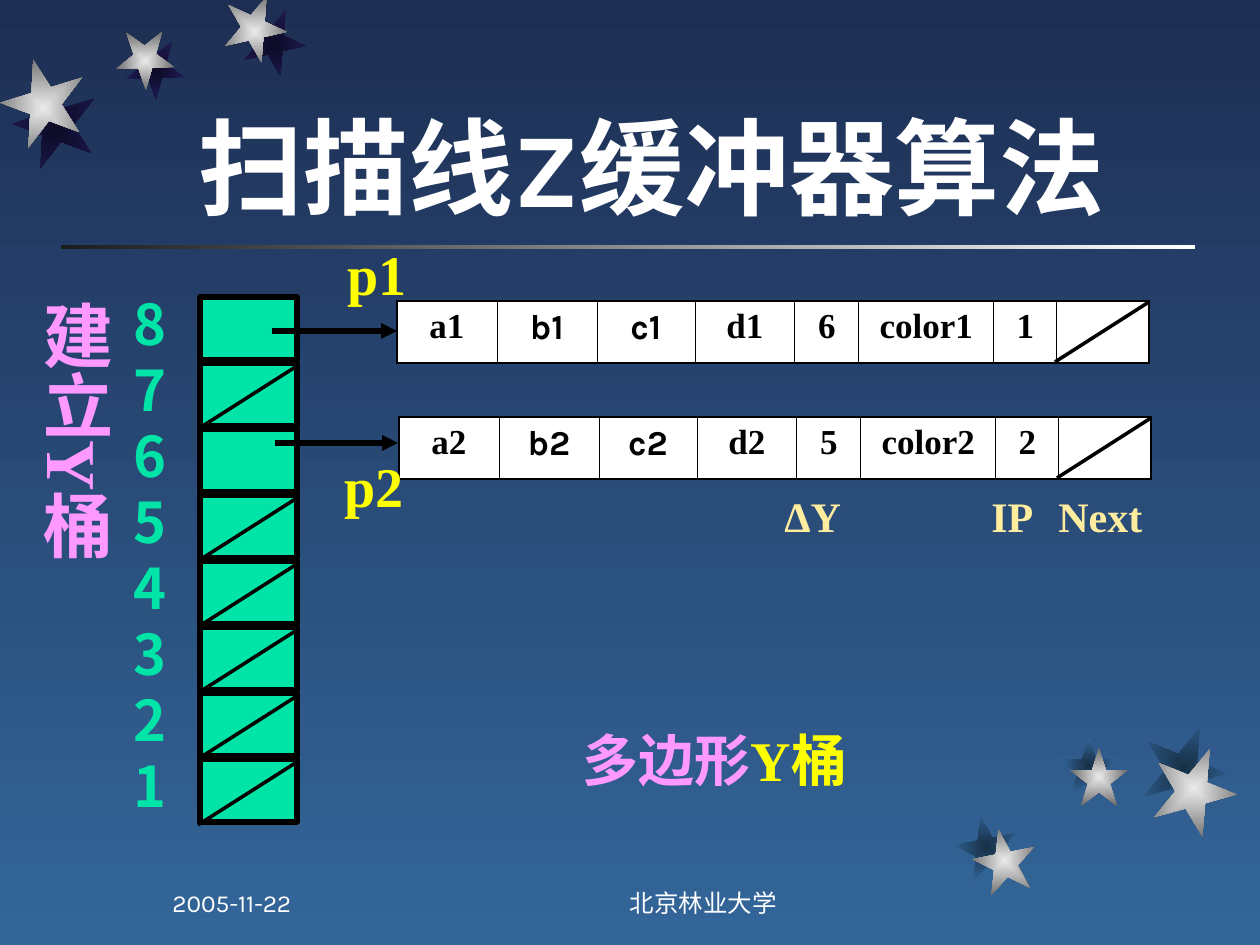
import pptx
import pptx.util
import pptx.dml.color
import pptx.enum.shapes
import pptx.enum.text
import pptx.oxml
import pptx.oxml.ns
from dataclasses import dataclass

SCALE = 914400 / 126  # EMU in one px
NS = pptx.oxml.ns.nsdecls("a")
KIND = pptx.enum.shapes.MSO_SHAPE
ALIGN = pptx.enum.text.PP_ALIGN
ANCHOR = pptx.enum.text.MSO_ANCHOR
FIT = pptx.enum.text.MSO_AUTO_SIZE


@dataclass(frozen=True)
class Theme:
    sky: tuple = ("1E2E53", "336699")
    rule: tuple = ("FFFFFF", "1C1C1C")
    silver: tuple = ("EAEAEA", "6B6B6B")
    night: tuple = ("0D0B26", "1E1A53")
    dusk: tuple = ("172F46", "336699")
    white: str = "FFFFFF"
    black: str = "000000"
    green: str = "00E4A8"
    pink: str = "FF99FF"
    yellow: str = "FFFF00"
    cream: str = "FFED9F"
    sans: str = "Karla"
    serif: str = "Times New Roman"
    han: str = "Noto Sans CJK SC"
    title: int = 60
    side: int = 40
    label: int = 32
    field: int = 24
    cell: int = 20
    foot: int = 14


T = Theme()


def px(*nums):
    return [round(n * SCALE) for n in nums]


def rgb(code):
    return pptx.dml.color.RGBColor.from_string(code)


def style(run, size, color, face, bold=True):
    font = run.font
    font.size, font.bold, font.name = pptx.util.Pt(size), bold, face
    font.color.rgb = rgb(color)
    east = pptx.oxml.parse_xml(f'<a:ea {NS} typeface="{T.han}"/>')
    run._r.rPr.find(pptx.oxml.ns.qn("a:latin")).addnext(east)


def blend(fill, colors, angle=0, center=False):
    fill.gradient()
    for stop, code in zip(fill.gradient_stops, colors):
        stop.color.rgb = rgb(code)
    if not center:
        fill.gradient_angle = angle
        return
    lin = fill._fill._gradFill.find(pptx.oxml.ns.qn("a:lin"))
    lin.addnext(pptx.oxml.parse_xml(
        f'<a:path {NS} path="rect"><a:fillToRect l="50000" t="50000" '
        'r="50000" b="50000"/></a:path>'))
    lin.getparent().remove(lin)


def shape(slide, kind, *box):
    item = slide.shapes.add_shape(kind, *px(*box))
    item.shadow.inherit = False
    item.line.fill.background()
    return item


def label(slide, box, parts, size, face, bold=True, wrap=True, before=0,
          align=ALIGN.LEFT, anchor=ANCHOR.TOP):
    """Add a text box; parts is a list of (text, color)."""
    item = slide.shapes.add_textbox(*px(*box))
    frame = item.text_frame
    frame.word_wrap, frame.vertical_anchor = wrap, anchor
    para = frame.paragraphs[0]
    para.alignment, para.space_before = align, pptx.util.Pt(before)
    for text, color in parts:
        run = para.add_run()
        run.text = text
        style(run, size, color, face, bold)
    return item


def line(slide, start, end, width=2, arrow=False):
    item = slide.shapes.add_connector(
        pptx.enum.shapes.MSO_CONNECTOR.STRAIGHT, *px(*start, *end))
    item.line.color.rgb = rgb(T.black)
    item.line.width = pptx.util.Pt(width)
    item._element.spPr.append(pptx.oxml.parse_xml(f"<a:effectLst {NS}/>"))
    if arrow:
        item.line._get_or_add_ln().append(
            pptx.oxml.parse_xml(f'<a:tailEnd {NS} type="triangle"/>'))


def edge(cell, sides):
    """Set cell borders; sides maps L, R, T, B to points."""
    props = cell._tc.get_or_add_tcPr()
    for spot, side in enumerate("LRTB"):
        wide = round(sides[side] * 12700)
        props.insert(spot, pptx.oxml.parse_xml(
            f'<a:ln{side} {NS} w="{wide}"><a:solidFill><a:srgbClr '
            f'val="{T.black}"/></a:solidFill></a:ln{side}>'))


def record(slide, left, top, texts):
    """Add one polygon record, with a slash in its empty Next field."""
    wides = [100, 100, 98, 100, 64, 135, 63, 92]
    table = slide.shapes.add_table(
        1, len(wides), *px(left, top, sum(wides), 62)).table
    table.first_row = table.horz_banding = False
    last = len(wides) - 1
    for i, wide in enumerate(wides):
        table.columns[i].width = px(wide)[0]
        cell = table.cell(0, i)
        cell.fill.solid()
        cell.fill.fore_color.rgb = rgb(T.white)
        edge(cell, {"L": 0.45 if i else 1.08, "R": 0.45 if i < last else 1.08,
                    "T": 1.08, "B": 1.08})
        if i < last:
            para = cell.text_frame.paragraphs[0]
            para.text = texts[i]
            para.alignment, para.space_before = ALIGN.CENTER, pptx.util.Pt(5)
            face = T.sans if i in (1, 2) else T.serif
            style(para.runs[0], T.cell, T.black, face)
    right = left + sum(wides)
    line(slide, (right, top + 1), (right - 94, top + 61))


def stars(slide, group, shade):
    """Each star is (left, top, size, turn, shadow dx, shadow dy)."""
    for dark in (True, False):
        for x, y, size, turn, dx, dy in group:
            item = shape(slide, KIND.STAR_5_POINT,
                         x + dx * dark, y + dy * dark, size, size)
            item.rotation = turn
            blend(item.fill, shade if dark else T.silver, center=True)


def heading(slide, text):
    item = slide.shapes.title
    item.left, item.top, item.width, item.height = px(186, 33, 1074, 202)
    frame = item.text_frame
    frame.text = text
    frame.auto_size, frame.vertical_anchor = FIT.NONE, ANCHOR.BOTTOM
    frame.paragraphs[0].alignment = ALIGN.LEFT
    style(frame.paragraphs[0].runs[0], T.title, T.white, T.sans)


def buckets(slide, count, full):
    """Stack numbered buckets downwards; those not full get a slash."""
    for i in range(count):
        num, top = count - i, 297 + 66 * i
        box = shape(slide, KIND.RECTANGLE, 200, top, 97, 63)
        box.fill.solid()
        box.fill.fore_color.rgb = rgb(T.green)
        box.line.color.rgb = rgb(T.black)
        box.line.width = pptx.util.Pt(3)
        label(slide, (121, top - 14, 65, 81), [(str(num), T.green)],
              T.label, T.han, before=20)
    for i in range(count):
        if count - i not in full:
            top = 300 + 66 * i
            line(slide, (297, top), (198, top + 63))


def main():
    deck = pptx.Presentation()
    deck.slide_width, deck.slide_height = px(1260, 945)
    slide = deck.slides.add_slide(deck.slide_layouts[5])

    # Backdrop, rule and stars
    blend(slide.background.fill, T.sky, 270)
    rule = shape(slide, KIND.RECTANGLE, 61, 245, 1134, 4)
    blend(rule.fill, T.rule, 180)
    stars(slide, [(223, 0, 63, 167.3, 19, 14), (116, 32, 58, 178.3, 10, 10),
                  (1, 66, 84, 200.3, 12, 21)], T.night)
    stars(slide, [(973, 829, 63, 349, -18, -14), (1070, 748, 58, 0, -10, -11),
                  (1152, 746, 84, 22, -10, -21)], T.dusk)
    heading(slide, "扫描线Z缓冲器算法")

    # Bucket column and its side title
    buckets(slide, 8, full=(8, 6))
    side = label(slide, (16, 288, 108, 307), [("建立Y桶", T.pink)],
                 T.side, T.serif, wrap=False)
    frame = side.text_frame
    frame._txBody.bodyPr.set("vert", "eaVert")
    frame.margin_left = frame.margin_right = pptx.util.Inches(0.05)
    frame.margin_top = frame.margin_bottom = pptx.util.Inches(0.1)

    # Records with their pointers
    record(slide, 397, 301, ["a1", "b1", "c1", "d1", "6", "color1", "1"])
    record(slide, 399, 417, ["a2", "b2", "c2", "d2", "5", "color2", "2"])
    line(slide, (272, 331), (397, 331), 3, arrow=True)
    line(slide, (275, 443), (398, 443), 3, arrow=True)
    for text, x, y in (("p1", 335, 233), ("p2", 332, 445)):
        label(slide, (x, y, 106, 81), [(text, T.yellow)], T.label, T.serif)

    # Field names and caption
    for text, x, wide in (("ΔY", 772, 111), ("IP", 979, 111),
                          ("Next", 1046, 135)):
        label(slide, (x, 484, wide, 63), [(text, T.cream)],
              T.field, T.serif, before=15)
    label(slide, (570, 719, 340, 81), [("多边形", T.pink), ("Y桶", T.yellow)],
          T.label, T.serif)

    # Footer
    for text, x, wide, align in (("2005-11-22", 160, 262, ALIGN.LEFT),
                                 ("北京林业大学", 504, 399, ALIGN.CENTER)):
        label(slide, (x, 861, wide, 63), [(text, T.white)], T.foot, T.sans,
              bold=False, align=align, anchor=ANCHOR.BOTTOM)

    deck.save("out.pptx")


if __name__ == "__main__":
    main()
